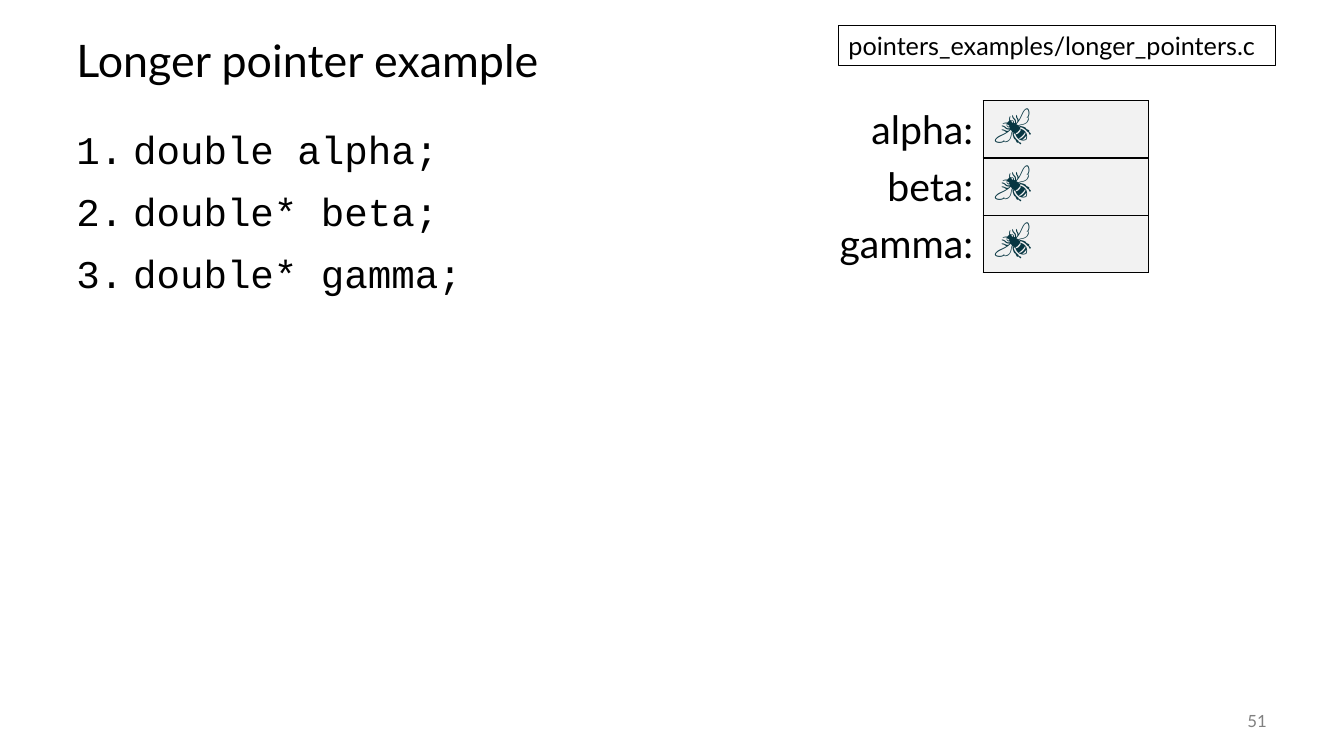
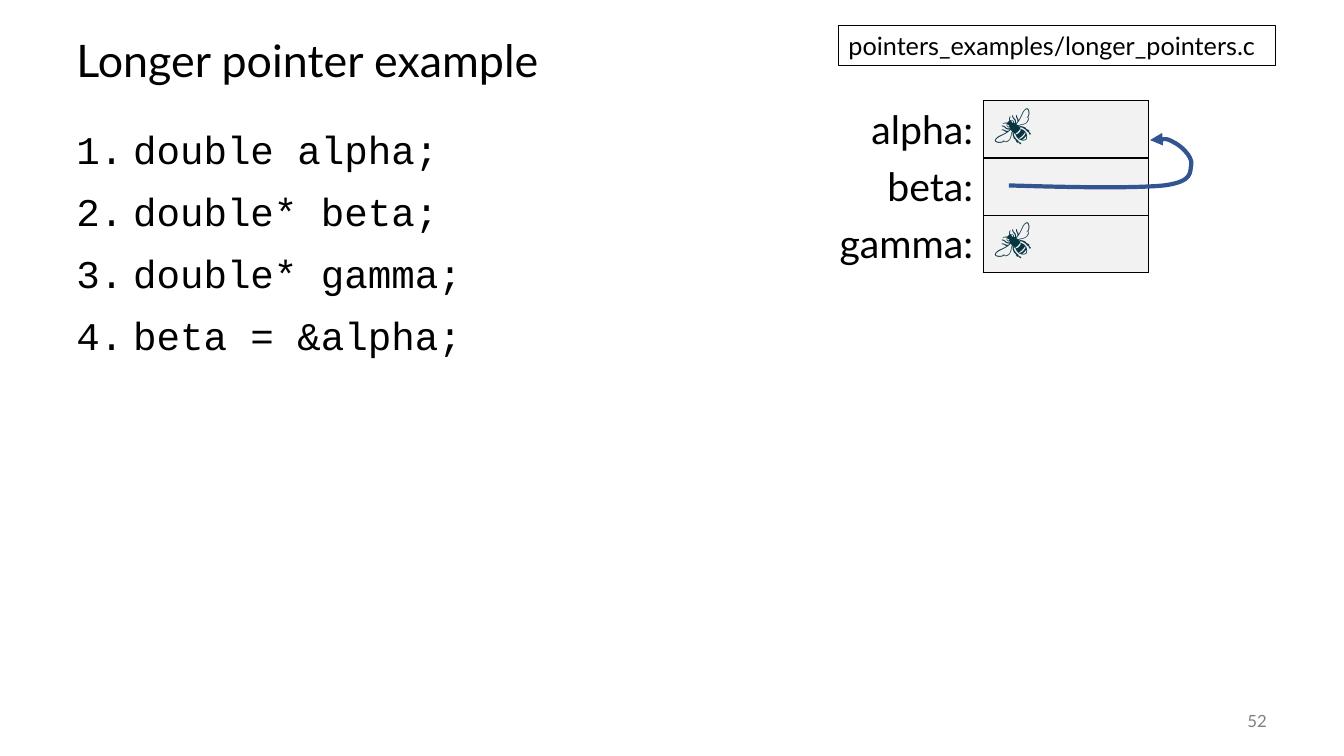
from lxml import etree
from pptx import Presentation
from pptx.dml import color
from pptx.enum import shapes, text
from pptx.oxml import ns
from pptx.util import Pt

SANS = "Lato"
MONO = "Courier New"
BLACK = "000000"
GRAY = "808080"
CELL_FILL = "F2F2F2"
BEE_COLOR = "073642"
ARROW_COLOR = "325491"
NO_TABLE_STYLE = "{2D5ABB26-0587-4C30-8999-92F81FD0307C}"

TITLE = "Longer pointer example"
FILE_NAME = "pointers_examples/longer_pointers.c"
BEE = "🐝"
VARIABLES = ["alpha:", "beta:", "gamma:"]
DECLARATIONS = ["double alpha;", "double* beta;", "double* gamma;"]

# Start point, then three points for each cubic curve
BETA_TO_ALPHA = [
    (720.7, 132.5),
    (765.4, 133.9), (810, 134.6), (831.6, 132.5),
    (853.2, 129.6), (849.6, 122.4), (851, 117.4),
    (851.8, 111.6), (843.1, 103.7), (838.1, 101.5),
    (833, 98.6), (827.3, 99.4), (821.5, 100.1),
]


def rgb(value):
    return color.RGBColor.from_string(value)


def add_element(parent, tag, **attributes):
    return etree.SubElement(parent, ns.qn(tag), attributes)


def write(paragraph, content, size=28, font=SANS, fill=BLACK,
          align=text.PP_ALIGN.LEFT, line_spacing=1.0):
    paragraph.alignment = align
    paragraph.line_spacing = line_spacing
    run = paragraph.add_run()
    run.text = content
    run.font.size = Pt(size)
    run.font.name = font
    run.font.color.rgb = rgb(fill)


def add_box(slide, left, top, width, height, anchor=text.MSO_ANCHOR.TOP):
    box = slide.shapes.add_textbox(Pt(left), Pt(top), Pt(width), Pt(height))
    box.text_frame.word_wrap = True
    box.text_frame.vertical_anchor = anchor
    return box


def add_label(slide, bounds, content, **style):
    box = add_box(slide, *bounds, anchor=text.MSO_ANCHOR.MIDDLE)
    write(box.text_frame.paragraphs[0], content, **style)
    return box


def add_frame(slide, number):
    """Add what every slide has: title, page number and file name."""
    add_label(slide, (47.5, 18, 864, 54), TITLE, size=32, line_spacing=0.9)
    add_label(slide, (840, 500.4, 72, 28.8), str(number), size=12, fill=GRAY,
              align=text.PP_ALIGN.RIGHT)
    file_box = add_label(slide, (599, 18, 312.5, 29), FILE_NAME, size=18)
    file_box.line.color.rgb = rgb(BLACK)
    file_box.line.width = Pt(0.75)


def add_code(slide, statements):
    frame = add_box(slide, 47.5, 90, 864, 396).text_frame
    for index, statement in enumerate(statements):
        paragraph = frame.add_paragraph() if index else frame.paragraphs[0]
        if index:
            paragraph.space_before = Pt(14)
        properties = paragraph._p.get_or_add_pPr()
        properties.set("marL", str(Pt(40.5)))
        properties.set("indent", str(-Pt(40.5)))
        add_element(properties, "a:buFont", typeface=MONO)
        add_element(properties, "a:buAutoNum", type="arabicPeriod")
        write(paragraph, statement, font=MONO, line_spacing=0.9)


def set_borders(cell, sides):
    properties = cell._tc.get_or_add_tcPr()
    for side in sides:
        line = add_element(properties, f"a:ln{side}", w=str(Pt(1)))
        fill = add_element(line, "a:solidFill")
        add_element(fill, "a:srgbClr", val=BLACK)


def add_memory(slide, values):
    row_height, column_width = 40.8, 118.3
    table = slide.shapes.add_table(
        len(VARIABLES), 2, Pt(584), Pt(72), Pt(2 * column_width),
        Pt(len(VARIABLES) * row_height)).table
    table.first_row = table.horz_banding = False
    table._tbl.tblPr.find(ns.qn("a:tableStyleId")).text = NO_TABLE_STYLE
    for row, (variable, value) in enumerate(zip(VARIABLES, values)):
        name_cell, value_cell = table.cell(row, 0), table.cell(row, 1)
        write(name_cell.text_frame.paragraphs[0], variable,
              align=text.PP_ALIGN.RIGHT)
        set_borders(name_cell, "R")
        name_cell.fill.background()
        if value:
            write(value_cell.text_frame.paragraphs[0], value, font=MONO,
                  fill=BEE_COLOR)
        set_borders(value_cell, "LRTB")
        value_cell.fill.solid()
        value_cell.fill.fore_color.rgb = rgb(CELL_FILL)


def add_curved_arrow(slide, points):
    """Draw an outline, then turn each three line segments into one curve."""
    start, *controls = [(Pt(x), Pt(y)) for x, y in points]
    builder = slide.shapes.build_freeform(*start)
    builder.add_line_segments(controls, close=False)
    arrow = builder.convert_to_shape()
    outline = next(arrow._element.iter(ns.qn("a:path")))
    segments = outline.findall(ns.qn("a:lnTo"))
    for first in range(0, len(segments), 3):
        curve = add_element(outline, "a:cubicBezTo")
        for segment in segments[first:first + 3]:
            curve.append(segment[0])
            outline.remove(segment)
    arrow.shadow.inherit = False
    arrow.fill.background()
    arrow.line.color.rgb = rgb(ARROW_COLOR)
    arrow.line.width = Pt(3)
    add_element(arrow.line._get_or_add_ln(), "a:tailEnd", type="triangle")


def add_slide(presentation, number, statements, values):
    slide = presentation.slides.add_slide(presentation.slide_layouts[6])
    add_frame(slide, number)
    add_code(slide, statements)
    add_memory(slide, values)
    return slide


def main():
    presentation = Presentation()
    presentation.slide_width, presentation.slide_height = Pt(960), Pt(540)
    add_slide(presentation, 51, DECLARATIONS, [BEE, BEE, BEE])
    assigned = add_slide(presentation, 52, DECLARATIONS + ["beta = &alpha;"],
                         [BEE, None, BEE])
    add_curved_arrow(assigned, BETA_TO_ALPHA)
    presentation.save("out.pptx")


if __name__ == "__main__":
    main()
